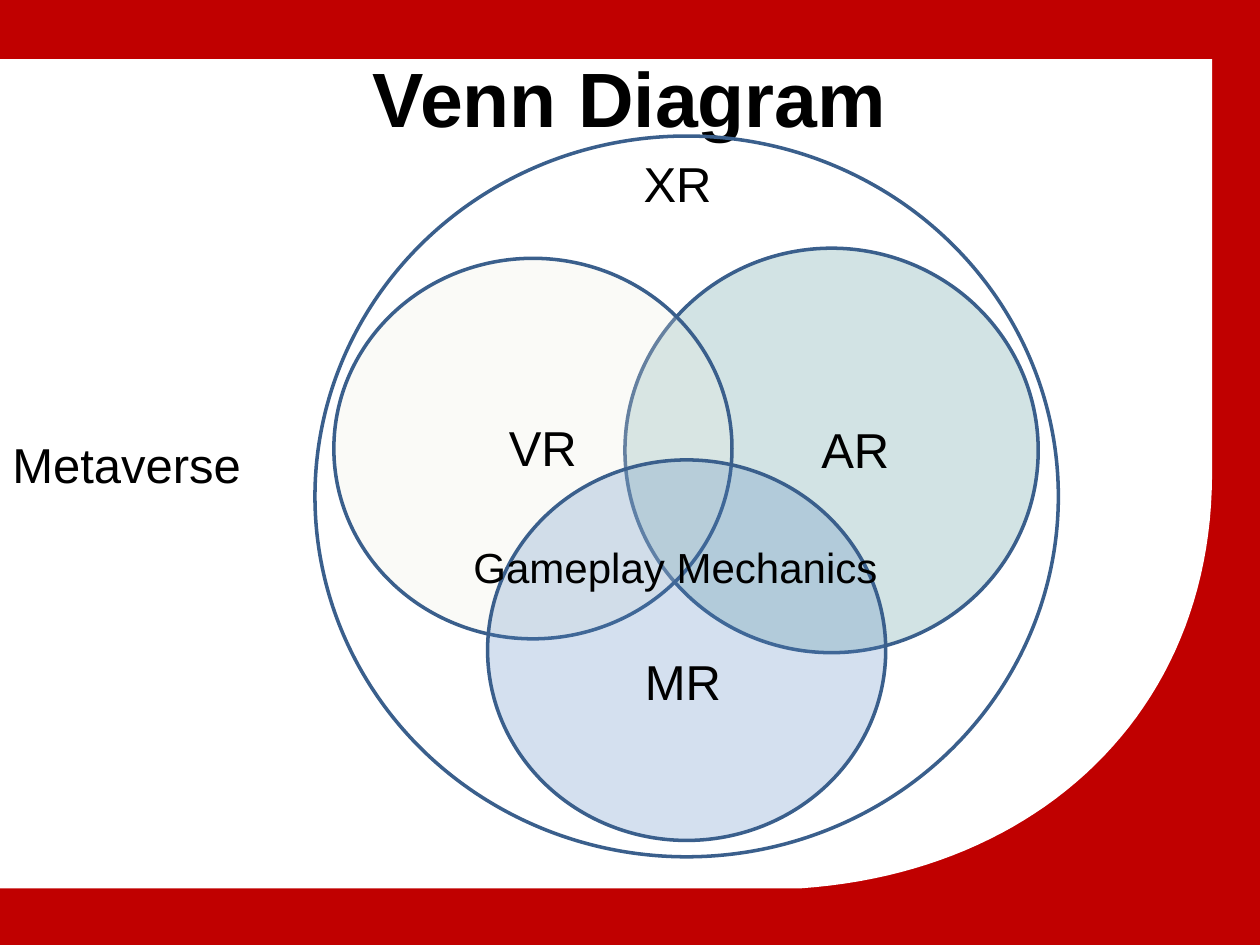
from lxml.etree import SubElement
from pptx import Presentation
from pptx.dml.color import RGBColor
from pptx.enum.shapes import MSO_SHAPE
from pptx.enum.text import MSO_ANCHOR, PP_ALIGN
from pptx.oxml.ns import qn
from pptx.util import Inches, Pt

COLORS = {
    "frame": "C00000",
    "panel": "FFFFFF",
    "outline": "3A5F8C",
    "text": "000000",
    "AR": "448B91",
    "VR": "EEECE1",
    "MR": "4F81BD",
}


def add_label(text, left, top, width, height, size):
    box = slide.shapes.add_textbox(Inches(left), Inches(top), Inches(width), Inches(height))
    frame = box.text_frame
    frame.word_wrap = True
    frame.vertical_anchor = MSO_ANCHOR.MIDDLE
    frame.margin_left = frame.margin_right = Inches(0.1)
    frame.margin_top = frame.margin_bottom = Inches(0.1)
    frame.text = text
    font = frame.paragraphs[0].runs[0].font
    font.name = "Arial"
    font.size = Pt(size)
    font.color.rgb = RGBColor.from_string(COLORS["text"])
    return frame


def add_circle(left, top, width, height, color=None):
    circle = slide.shapes.add_shape(
        MSO_SHAPE.OVAL, Inches(left), Inches(top), Inches(width), Inches(height))
    circle.shadow.inherit = False
    circle.line.color.rgb = RGBColor.from_string(COLORS["outline"])
    circle.line.width = Pt(2)
    if color is None:
        circle.fill.background()
        return
    circle.fill.solid()
    circle.fill.fore_color.rgb = RGBColor.from_string(color)
    tint = circle.fill._xPr.find(qn("a:solidFill"))[0]
    SubElement(tint, qn("a:alpha"), val="24000")


presentation = Presentation()
presentation.slide_width = Inches(10)
presentation.slide_height = Inches(7.5)
slide = presentation.slides.add_slide(presentation.slide_layouts[6])
slide.background.fill.solid()
slide.background.fill.fore_color.rgb = RGBColor.from_string(COLORS["frame"])

corner = [(9.62, 3.78), (9.61, 5.66), (8.24, 6.92), (6.36, 7.05)]
steps = 48
curve = []
for step in range(steps + 1):
    t = step / steps
    weights = [(1 - t) ** 3, 3 * t * (1 - t) ** 2, 3 * t ** 2 * (1 - t), t ** 3]
    curve.append(tuple(
        Inches(sum(weight * point[axis] for weight, point in zip(weights, corner)))
        for axis in (0, 1)))

outline = slide.shapes.build_freeform(Inches(-0.01), Inches(0.47))
outline.add_line_segments(
    [(Inches(9.62), Inches(0.47)), *curve, (Inches(0), Inches(7.05))], close=True)
panel = outline.convert_to_shape()
panel.shadow.inherit = False
panel.fill.solid()
panel.fill.fore_color.rgb = RGBColor.from_string(COLORS["panel"])
panel.line.fill.background()

add_circle(4.96, 1.97, 3.28, 3.21, COLORS["AR"])

title = add_label("Venn Diagram", 0.5, 0.3, 9, 1.25, 44)
title.vertical_anchor = MSO_ANCHOR.TOP
title.paragraphs[0].alignment = PP_ALIGN.CENTER
title.paragraphs[0].runs[0].font.bold = True

add_circle(2.65, 2.05, 3.16, 3.02, COLORS["VR"])
add_circle(3.87, 3.65, 3.16, 3.02, COLORS["MR"])
add_circle(2.5, 1.08, 5.9, 5.72)

for text, left, top, width, height, size in [
    ("Metaverse", 0, 3.42, 2.27, 0.52, 28),
    ("VR", 3.94, 3.29, 0.85, 0.52, 28),
    ("AR", 6.42, 3.3, 0.96, 0.52, 28),
    ("MR", 5.02, 5.08, 0.85, 0.65, 28),
    ("XR", 5.01, 1.19, 0.8, 0.52, 28),
    ("Gameplay Mechanics", 3.66, 4.22, 3.47, 0.55, 24),
]:
    add_label(text, left, top, width, height, size)

presentation.save("out.pptx")
